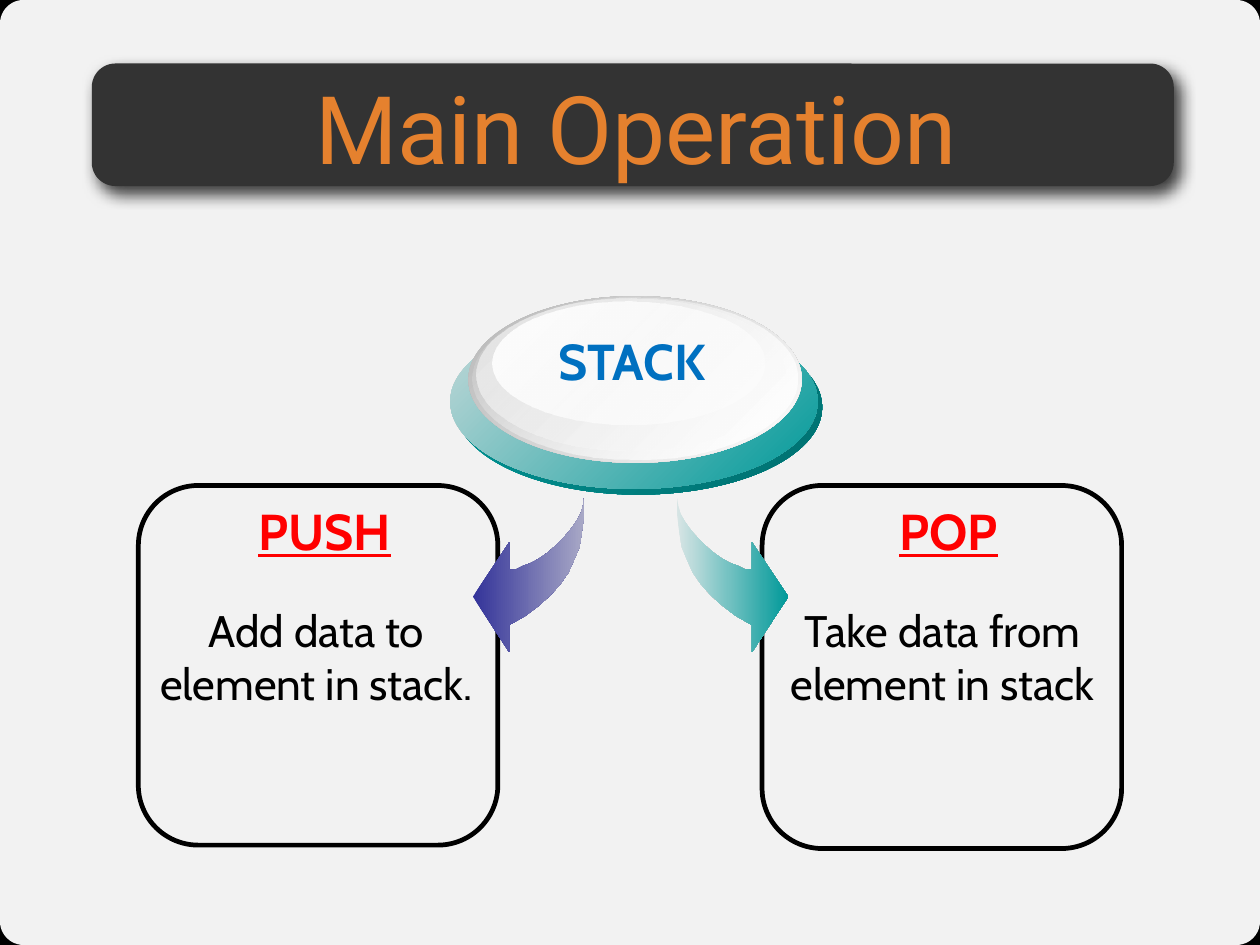
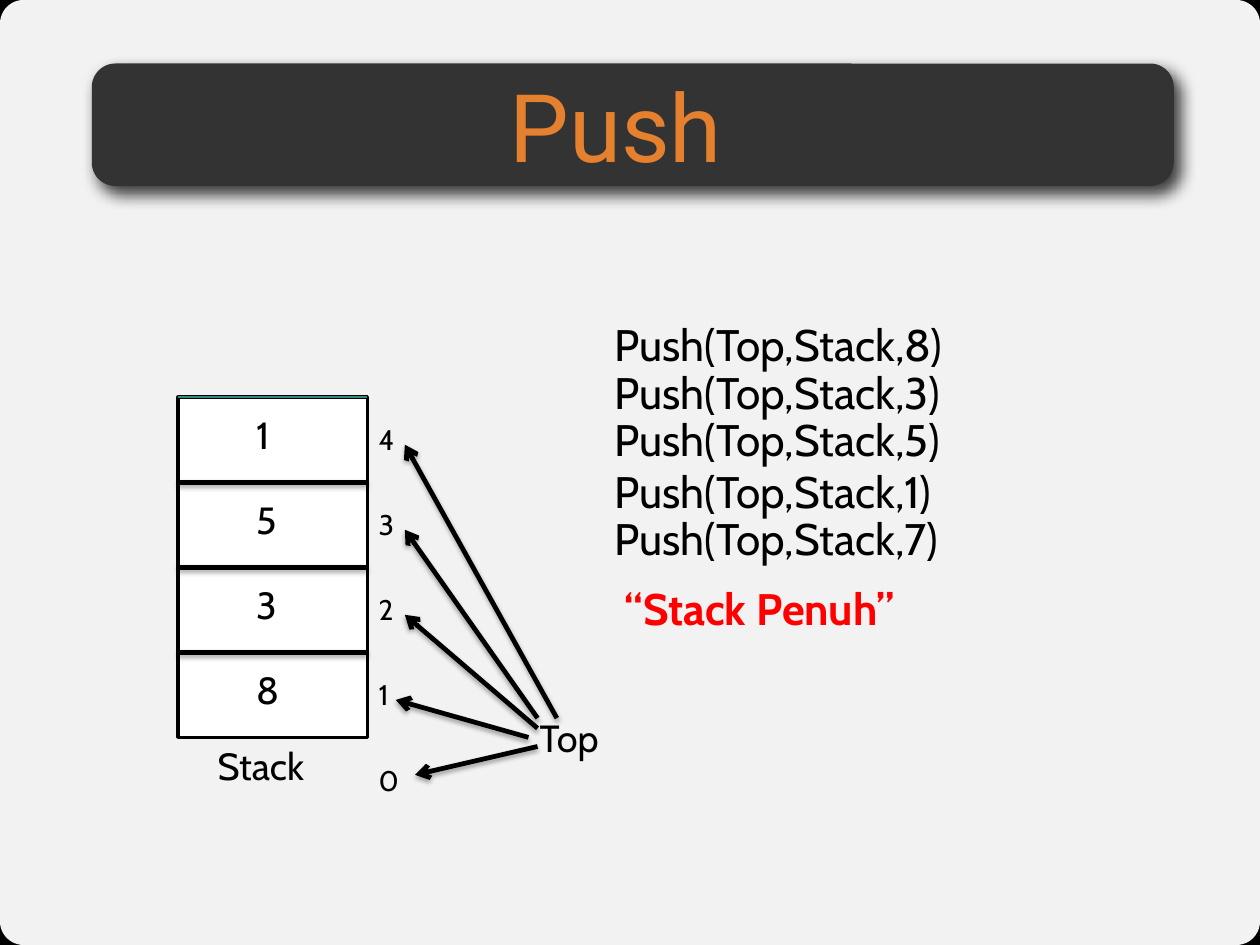
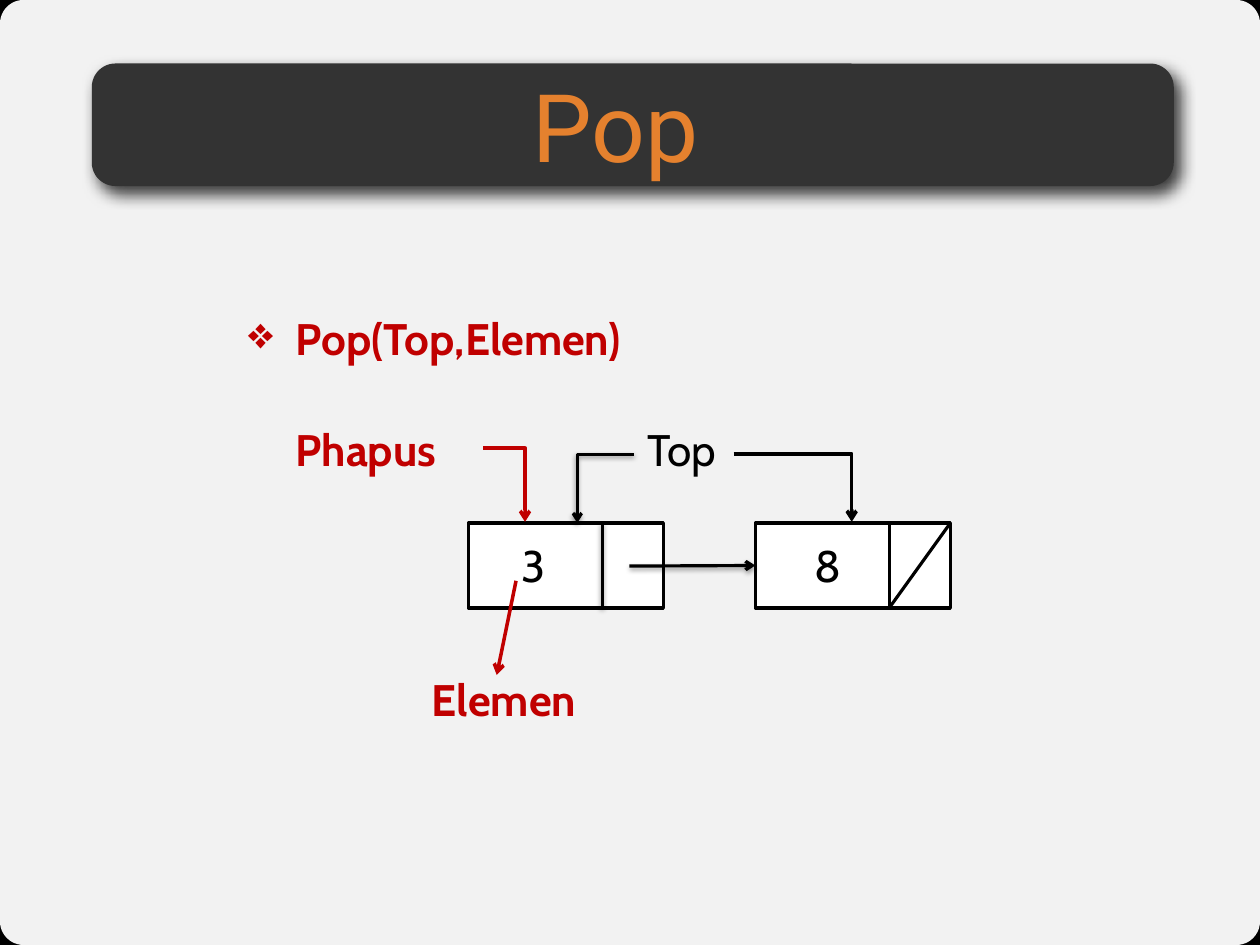
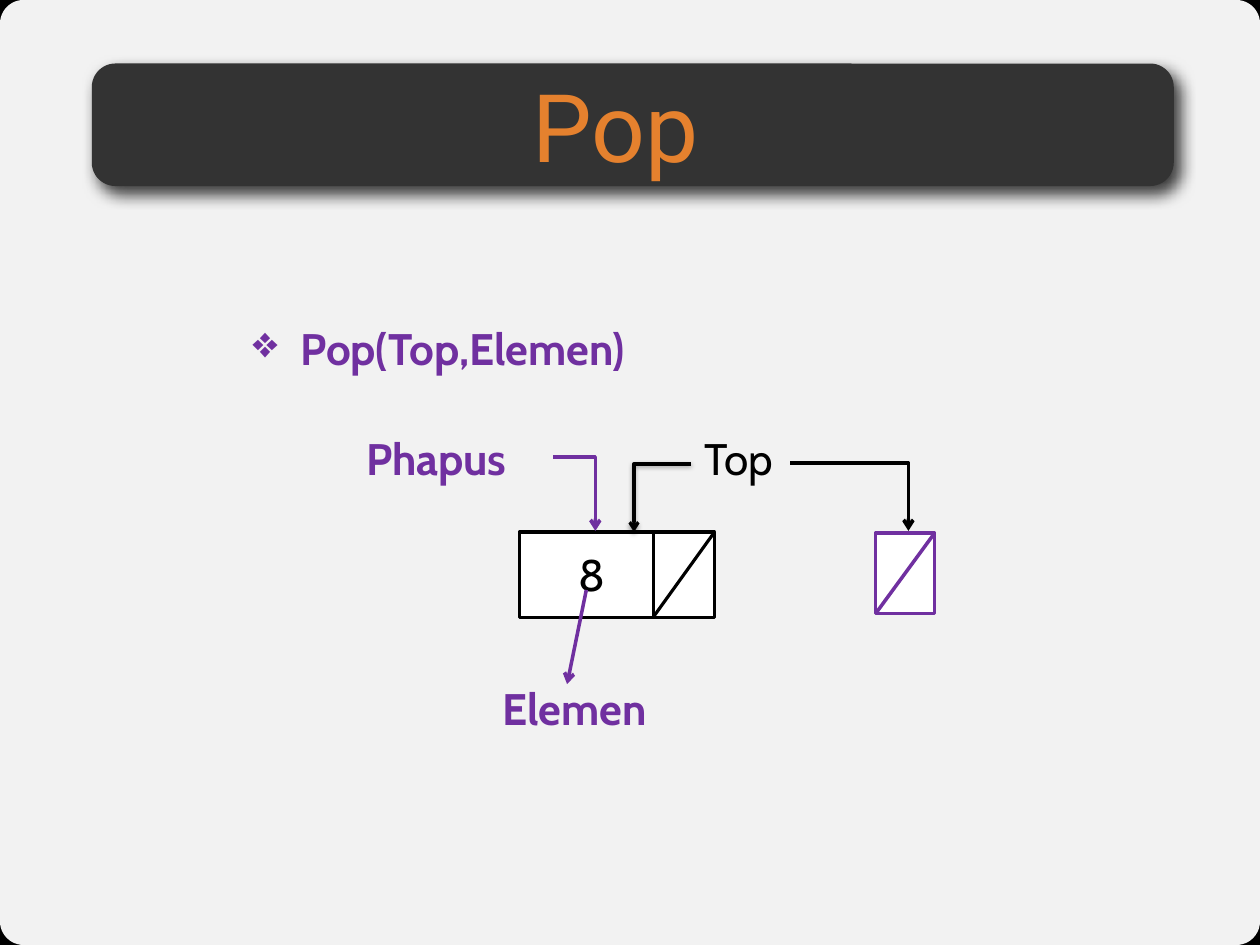
from pptx import Presentation
from pptx.dml.color import RGBColor
from pptx.enum.shapes import MSO_CONNECTOR as CONN, MSO_SHAPE as SHAPE
from pptx.enum.text import MSO_ANCHOR as ANCHOR, PP_ALIGN as ALIGN
from pptx.oxml import parse_xml
from pptx.oxml.ns import nsdecls, qn
from pptx.util import Inches, Pt
from lxml.etree import SubElement

rgb = RGBColor.from_string
BLACK, WHITE, RED, BLUE = "000000", "FFFFFF", "FF0000", "0070C0"
DARK, ORANGE, CRIMSON, PURPLE = "333333", "E5812E", "C00000", "7030A0"
TEAL, INDIGO = "009999", "333399"
BODY, HEADING = "Cabin", "Roboto"
W, H = 11.11, 8.33

# Shadows: alpha %, blur pt, distance pt, direction in degrees
BAR_SHADOW = (75, 10, 6, 51)
STACK_SHADOW = (35, 3.1, 1.8, 90)
NODE_SHADOW = (38, 3.1, 1.6, 90)
EFFECT = ('<a:effectLst %s><a:outerShdw blurRad="{}" dist="{}" dir="{}" rotWithShape="0">'
          '<a:srgbClr val="000000"><a:alpha val="{}"/></a:srgbClr>'
          '</a:outerShdw></a:effectLst>' % nsdecls("a"))
NO_EFFECT = "<a:effectLst %s/>" % nsdecls("a")


def add_box(s, x, y, w, h, text=None, shape=None, fill=None, alphas=(), line=None, width=2,
            radius=None, size=28, color=BLACK, font=BODY, bold=False, underline=False,
            align=ALIGN.LEFT, anchor=ANCHOR.TOP, inset=None, bullet=None):
    """Add a text box, or a preset shape; a pair of fill colours makes a 45 degree gradient."""
    at = [Inches(v) for v in (x, y, w, h)]
    if shape is None:
        sp = s.shapes.add_textbox(*at)
    else:
        sp = s.shapes.add_shape(shape, *at)
        sp.shadow.inherit = False
        if radius is not None:
            sp.adjustments[0] = radius
        if fill is None:
            sp.fill.background()
        elif isinstance(fill, str):
            sp.fill.solid()
            sp.fill.fore_color.rgb = rgb(fill)
        else:
            sp.fill.gradient()
            sp.fill.gradient_angle = 315
            for stop, stop_color in zip(sp.fill.gradient_stops, fill):
                stop.color.rgb = rgb(stop_color)
        for clr, alpha in zip(list(sp.element.spPr.iter(qn("a:srgbClr"))), alphas):
            SubElement(clr, qn("a:alpha")).set("val", str(alpha * 1000))
        if line:
            sp.line.color.rgb = rgb(line)
            sp.line.width = Pt(width)
        else:
            sp.line.fill.background()
    if text:
        tf = sp.text_frame
        tf.word_wrap = True
        tf.vertical_anchor = anchor
        if inset is not None:
            tf.margin_left = tf.margin_right = tf.margin_top = tf.margin_bottom = Inches(inset)
        p = tf.paragraphs[0]
        p.alignment = align
        if bullet:
            pPr = p._p.get_or_add_pPr()
            pPr.set("marL", str(Inches(0.42)))
            pPr.set("indent", str(-Inches(0.42)))
            SubElement(pPr, qn("a:buChar")).set("char", bullet)
        r = p.add_run()
        r.text = text
        r.font.name, r.font.size, r.font.bold = font, Pt(size), bold
        r.font.underline = underline
        r.font.color.rgb = rgb(color)
    return sp


def add_line(s, x1, y1, x2, y2, color=BLACK, width=2, arrow=False, shadow=None, bent=False):
    """Add a straight connector, or one that runs across and then down."""
    kind = CONN.ELBOW if bent else CONN.STRAIGHT
    c = s.shapes.add_connector(kind, *[Inches(v) for v in (x1, y1, x2, y2)])
    c.line.color.rgb = rgb(color)
    c.line.width = Pt(width)
    spPr = c.element.spPr
    if bent:
        spPr.find(qn("a:prstGeom")).set("prst", "bentConnector2")
        if x2 < x1:  # half a turn plus a vertical flip keeps the corner on top
            xfrm = spPr.find(qn("a:xfrm"))
            xfrm.attrib.pop("flipH")
            xfrm.set("rot", "10800000")
            xfrm.set("flipV", "1")
    if arrow:
        SubElement(spPr.find(qn("a:ln")), qn("a:tailEnd")).set("type", "arrow")
    if shadow:
        alpha, blur, dist, angle = shadow
        spPr.append(parse_xml(EFFECT.format(Pt(blur), Pt(dist), angle * 60000, alpha * 1000)))
    else:
        spPr.append(parse_xml(NO_EFFECT))
    return c


prs = Presentation()
prs.slide_width, prs.slide_height = Inches(W), Inches(H)
background = prs.slide_master.background.fill
background.solid()
background.fore_color.rgb = rgb(BLACK)

# Card, title bar and title of every slide
slides = []
for title, x, y in [("Main Operation", 0.86, 0.62), ("Push", 0.68, 0.6),
                    ("Pop", 0.68, 0.6), ("Pop", 0.68, 0.6)]:
    s = prs.slides.add_slide(prs.slide_layouts[6])
    add_box(s, 0, 0, W, H, shape=SHAPE.ROUNDED_RECTANGLE, radius=0.025, fill=WHITE, alphas=[95])
    bar = add_box(s, 0.81, 0.56, 9.54, 1.08, shape=SHAPE.ROUNDED_RECTANGLE, radius=0.192,
                  fill=DARK)
    alpha, blur, dist, angle = BAR_SHADOW
    spPr = bar.element.spPr
    spPr.remove(spPr.find(qn("a:effectLst")))
    spPr.append(parse_xml(EFFECT.format(Pt(blur), Pt(dist), angle * 60000, alpha * 1000)))
    add_box(s, x, y, 9.5, 1, title, size=60, font=HEADING, color=ORANGE, align=ALIGN.CENTER,
            anchor=ANCHOR.MIDDLE, inset=0)
    slides.append(s)
main_slide, push_slide, pop_slide, last_pop_slide = slides

# Main Operation: two cards, each with a curved arrow from the stack disc
s = main_slide
CURVE = [(5.15, 4.39), (5.15, 4.54), (5.13, 4.69), (5.11, 4.82), (5.06, 4.94), (5.01, 5.05),
         (4.94, 5.15), (4.85, 5.25), (4.75, 5.34), (4.63, 5.43), (4.49, 5.51), (4.49, 5.75),
         (4.17, 5.26), (4.49, 4.78), (4.49, 5.02), (4.55, 5.02), (4.61, 4.99), (4.69, 4.96),
         (4.76, 4.92), (4.83, 4.87), (4.9, 4.81), (4.97, 4.74), (5.03, 4.67), (5.08, 4.6),
         (5.12, 4.53), (5.14, 4.46)]
MIRROR = 11.12
operations = [
    ("PUSH", 1.22, 3.17, 1.75, "Add data to element in stack.", 1.31, 2.96,
     CURVE, (INDIGO, "A8A8C6")),
    ("POP", 6.72, 3.2, 7.25, "Take data from element in stack", 6.81, 3,
     [(MIRROR - x, y) for x, y in CURVE], ("D8E5E5", TEAL)),
]
for name, x, h, name_x, body, body_x, body_w, points, colors in operations:
    add_box(s, x, 4.28, 3.17, h, shape=SHAPE.ROUNDED_RECTANGLE, radius=0.167, line=BLACK, width=3)
    points = [(Inches(px), Inches(py)) for px, py in points]
    builder = s.shapes.build_freeform(*points[0])
    builder.add_line_segments(points[1:], close=True)
    curve = builder.convert_to_shape()
    curve.shadow.inherit = False
    curve.line.fill.background()
    curve.fill.gradient()
    curve.fill.gradient_angle = 0
    for stop, stop_color in zip(curve.fill.gradient_stops, colors):
        stop.color.rgb = rgb(stop_color)
    add_box(s, name_x, 4.36, 2.23, 0.64, name, size=32, color=RED, bold=True, underline=True,
            align=ALIGN.CENTER)
    add_box(s, body_x, 5.27, body_w, 1.51, body, align=ALIGN.CENTER)

for x, y, w, h, colors, alphas in [
    (4.01, 2.82, 3.24, 1.54, (TEAL, "007070"), ()),
    (3.97, 2.77, 3.24, 1.54, ("C6DADA", TEAL), ()),
    (4.13, 2.61, 2.94, 1.47, ("B6B6B6", WHITE), ()),
    (4.17, 2.62, 2.86, 1.43, (WHITE, WHITE), (0, 100)),
    (4.2, 2.63, 2.73, 1.34, ("E6E6E6", WHITE), (100, 48)),
    (4.34, 2.66, 2.4, 1.08, (WHITE, WHITE), (100, 38)),
]:
    add_box(s, x, y, w, h, shape=SHAPE.OVAL, fill=colors, alphas=alphas)
add_box(s, 4.72, 2.86, 1.71, 0.64, "STACK", size=32, color=BLUE, bold=True, align=ALIGN.CENTER)

# Push: a stack of four cells, filled from the bottom
s = push_slide
LEFT, TOP, CELL_W, CELL_H = 1.57, 3.5, 1.67, 0.75
values = ["1", "5", "3", "8"]
add_box(s, LEFT, TOP, CELL_W, CELL_H * len(values), shape=SHAPE.RECTANGLE, fill=WHITE, line=BLACK)
for i, value in enumerate(values):
    y = TOP + i * CELL_H
    if i:
        add_line(s, LEFT, y, LEFT + CELL_W, y, width=3, shadow=STACK_SHADOW)
    else:
        add_line(s, LEFT, y, LEFT + CELL_W, y, color="2F8B82", width=0.75)
    add_box(s, 2.16, y + 0.08, 0.5, 0.5, value, size=24)
    add_box(s, LEFT + CELL_W, y + 0.17, 0.42, 0.4, str(len(values) - i), size=18)
add_box(s, LEFT + CELL_W, 6.68, 0.42, 0.4, "0", size=18)
add_box(s, 1.82, 6.5, 1.17, 0.5, "Stack", size=24)
add_box(s, 4.66, 6.25, 1.33, 0.5, "Top", size=24)
for x1, y1, x2, y2 in [(4.74, 6.58, 3.66, 6.83), (4.66, 6.5, 3.49, 6.17),
                       (4.74, 6.42, 3.57, 5.42), (4.74, 6.33, 3.57, 4.67),
                       (4.91, 6.33, 3.57, 3.92)]:
    add_line(s, x1, y1, x2, y2, width=3, arrow=True, shadow=STACK_SHADOW)
for value, y in zip("83517", (2.75, 3.17, 3.59, 4.04, 4.46)):
    add_box(s, 5.32, y, 5.58, 0.57, f"Push(Top,Stack,{value})")
add_box(s, 5.41, 5.08, 5.58, 0.57, "“Stack Penuh”", color=RED, bold=True)

# Pop: linked nodes as (left, value, value left, is last)
NODE_W, NODE_H, DIVIDER = 1.72, 0.75, 1.18
for s, color, dy, call_x, phapus_x, top_x, nodes in [
    (pop_slide, CRIMSON, 0, 2.09, 2.51, 5.61,
     [(4.13, "3", 4.5, False), (6.66, "8", 7.08, True)]),
    (last_pop_slide, PURPLE, 0.08, 2.13, 3.13, 6.11, [(4.58, "8", 5, True)]),
]:
    node_y = 4.61 + dy
    boxes = []
    for x, value, value_x, is_last in nodes:
        boxes.append(add_box(s, x, node_y, NODE_W, NODE_H, shape=SHAPE.RECTANGLE, fill=WHITE,
                             line=BLACK))
        add_line(s, x + DIVIDER, node_y, x + DIVIDER, node_y + NODE_H,
                 shadow=None if is_last else NODE_SHADOW)
        if is_last:
            add_line(s, x + NODE_W, node_y, x + DIVIDER, node_y + NODE_H)
        add_box(s, value_x, 4.7 + dy, 0.63, 0.57, value)
    if len(boxes) == 2:
        link = add_line(s, 5.55, 4.99, 6.66, 4.99, arrow=True, shadow=NODE_SHADOW)
        link.end_connect(boxes[1], 1)

    add_box(s, call_x, 2.7 + dy, 4.17, 0.57, "Pop(Top,Elemen)", color=color, bold=True, bullet="❖")
    add_box(s, phapus_x, 3.67 + dy, 1.75, 0.57, "Phapus", color=color, bold=True)
    add_line(s, phapus_x + 1.75, 3.95 + dy, phapus_x + 2.12, 4.6 + dy, color=color, width=2.25,
             arrow=True, bent=True)
    add_box(s, phapus_x + 1.2, 5.88 + dy, 1.75, 0.57, "Elemen", color=color, bold=True)
    add_line(s, phapus_x + 2.04, 5.12 + dy, phapus_x + 1.87, 5.95 + dy, color=color, width=2.25,
             arrow=True)
    add_box(s, top_x, 3.67 + dy, 1.26, 0.57, "Top")
    add_line(s, top_x - 0.02, 4.01 + dy, top_x - 0.52, node_y, arrow=True, shadow=NODE_SHADOW,
             bent=True)
    add_line(s, top_x + 0.86, 4 + dy, top_x + 1.9, 4.6 + dy, width=2.25, arrow=True, bent=True)

# The empty cell that Top points to after the last pop
s = last_pop_slide
add_box(s, 7.72, 4.7, 0.52, 0.71, shape=SHAPE.RECTANGLE, fill=WHITE, line=PURPLE, width=2.25)
add_line(s, 8.24, 4.7, 7.72, 5.41, color=PURPLE, width=2.25)

prs.save("out.pptx")
